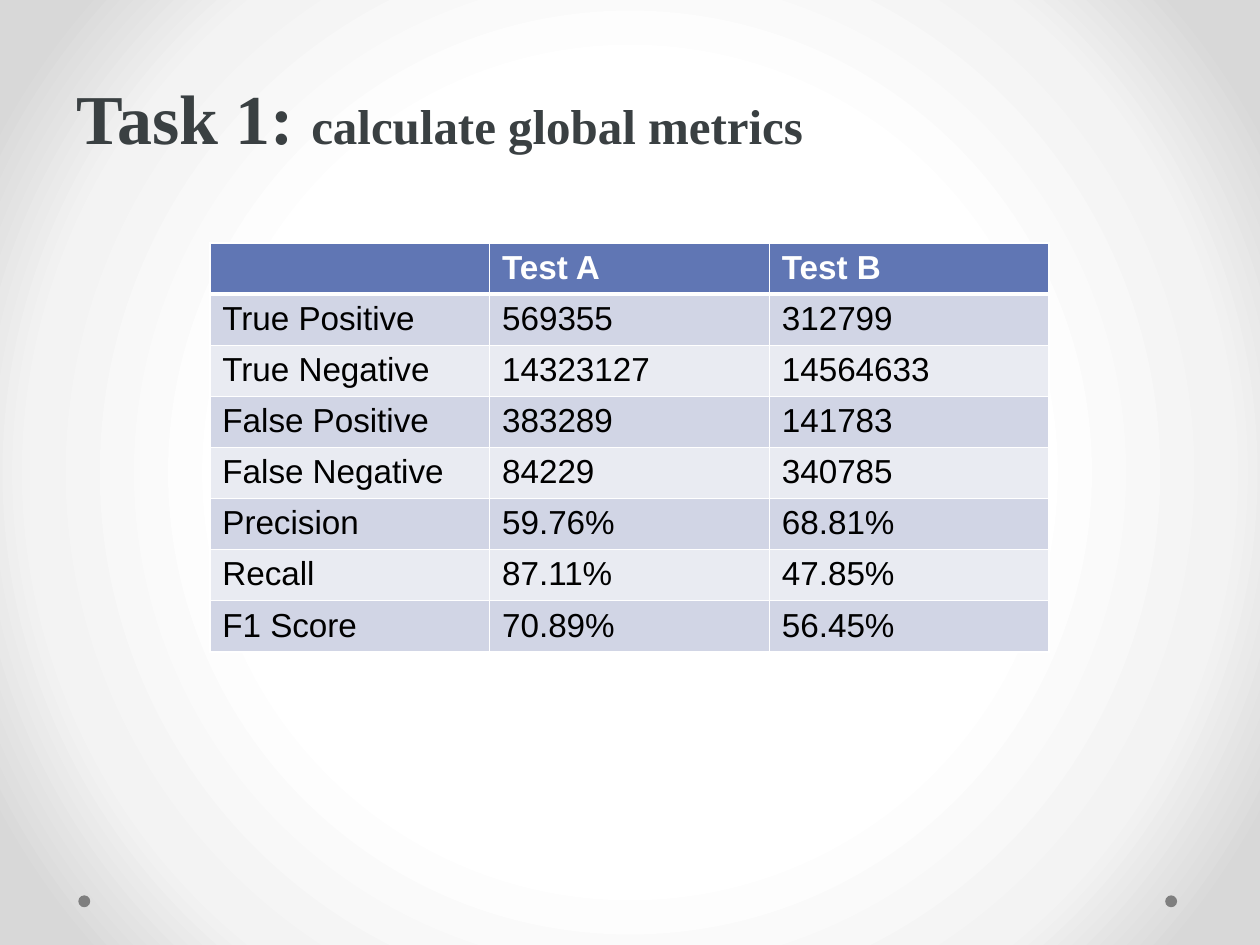
from pptx import Presentation
from pptx.dml.color import RGBColor
from pptx.enum.shapes import MSO_SHAPE
from pptx.enum.text import MSO_ANCHOR
from pptx.oxml import parse_xml
from pptx.oxml.ns import nsdecls
from pptx.util import Cm, Pt

OVAL = MSO_SHAPE.OVAL
BOTTOM = MSO_ANCHOR.BOTTOM

METRICS = [
    ("", "Test A", "Test B"),
    ("True Positive", "569355", "312799"),
    ("True Negative", "14323127", "14564633"),
    ("False Positive", "383289", "141783"),
    ("False Negative", "84229", "340785"),
    ("Precision", "59.76%", "68.81%"),
    ("Recall", "87.11%", "47.85%"),
    ("F1 Score", "70.89%", "56.45%"),
]


def colour(hex_code):
    return RGBColor.from_string(hex_code)


class MetricsSlide:
    title_font = "Times New Roman"
    table_font = "Arial"
    title_ink = "3A4042"
    header_fill = "6076B4"
    band_fills = ("E9EBF2", "D1D5E5")
    grid = "FFFFFF"
    dot_fill = "7F7F7F"

    def __init__(self, slide):
        self.slide = slide

    def radial_background(self, stops):
        self.slide.background.fill.solid()
        stop_xml = "".join(
            f'<a:gs pos="{percent * 1000}"><a:srgbClr val="{hex_code}"/></a:gs>'
            for percent, hex_code in stops
        )
        gradient = parse_xml(
            f'<a:gradFill {nsdecls("a")} rotWithShape="1"><a:gsLst>{stop_xml}</a:gsLst>'
            '<a:path path="circle">'
            '<a:fillToRect l="50000" t="50000" r="50000" b="50000"/>'
            "</a:path></a:gradFill>"
        )
        solid = self.slide.background._cSld.find(".//{*}bgPr/{*}solidFill")
        solid.getparent().replace(solid, gradient)

    def dot(self, left, top, size):
        dot = self.slide.shapes.add_shape(OVAL, Cm(left), Cm(top), Cm(size), Cm(size))
        dot.shadow.inherit = False
        dot.fill.solid()
        dot.fill.fore_color.rgb = colour(self.dot_fill)
        dot.line.fill.background()

    def title(self, left, top, width, height, parts):
        box = self.slide.shapes.add_textbox(Cm(left), Cm(top), Cm(width), Cm(height))
        frame = box.text_frame
        frame.word_wrap = True
        frame.vertical_anchor = BOTTOM
        heading = frame.paragraphs[0]
        heading.line_spacing = 1.45
        self.style(heading, self.title_font, self.title_ink, True)
        for text, size in parts:
            part = heading.add_run()
            part.text = text
            part.font.size = Pt(size)

    def style(self, paragraph, font_name, ink, bold):
        paragraph.font.name = font_name
        paragraph.font.color.rgb = colour(ink)
        paragraph.font.bold = bold

    def table(self, left, top, column_width, row_height, rows):
        columns = len(rows[0])
        table = self.slide.shapes.add_table(
            len(rows), columns, Cm(left), Cm(top),
            Cm(column_width * columns), Cm(row_height * len(rows)),
        ).table
        for column in table.columns:
            column.width = Cm(column_width)
        for r, values in enumerate(rows):
            table.rows[r].height = Cm(row_height)
            for c, value in enumerate(values):
                self.cell(table.cell(r, c), value, r)

    def cell(self, cell, value, row):
        is_header = row == 0
        cell.fill.solid()
        cell.fill.fore_color.rgb = colour(
            self.header_fill if is_header else self.band_fills[row % 2]
        )
        entry = cell.text_frame.paragraphs[0]
        entry.text = value
        entry.font.size = Pt(19)
        self.style(entry, self.table_font, "FFFFFF" if is_header else "000000", is_header)
        widths = {
            "L": 1,
            "R": 1,
            "T": 3 if row == 1 else 1,
            "B": 3 if is_header else 1,
        }
        for position, (side, points) in enumerate(widths.items()):
            border = parse_xml(
                f'<a:ln{side} {nsdecls("a")} w="{Pt(points)}"><a:solidFill>'
                f'<a:srgbClr val="{self.grid}"/></a:solidFill></a:ln{side}>'
            )
            cell._tc.get_or_add_tcPr().insert(position, border)


def main():
    deck = Presentation()
    deck.slide_width = Cm(25.4)
    deck.slide_height = Cm(19.05)
    page = MetricsSlide(deck.slides.add_slide(deck.slide_layouts[6]))
    page.radial_background(
        [(0, "FFFFFF"), (50, "FFFFFF"), (76, "F3F3F3"), (92, "D8D8D8"), (100, "D8D8D8")]
    )
    for dot_left in (23.49, 1.58):
        page.dot(dot_left, 18.05, 0.24)
    page.table(4.23, 4.9, 5.64, 1.03, METRICS)
    page.title(1.3, 1.42, 19.58, 1.9, [("Task 1: ", 40), ("calculate global metrics", 28)])
    deck.save("out.pptx")


if __name__ == "__main__":
    main()
